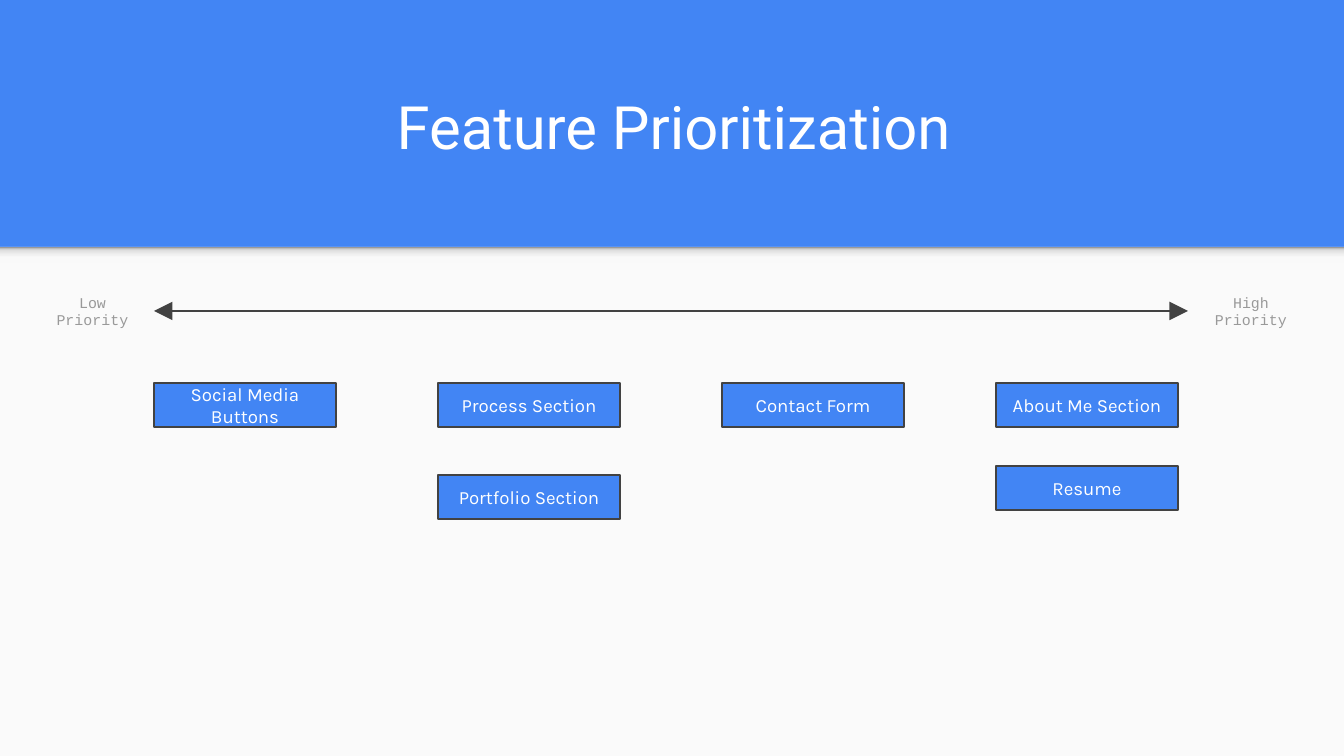
from lxml import etree
from pptx import Presentation
from pptx.dml.color import RGBColor
from pptx.enum.shapes import MSO_CONNECTOR, MSO_SHAPE
from pptx.enum.text import MSO_ANCHOR, PP_ALIGN
from pptx.oxml.ns import qn
from pptx.util import Emu, Pt

SLIDE_WIDTH, SLIDE_HEIGHT = 1344, 756
EMU_PER_PX = 914400 / 134.4
BAND_HEIGHT = 247
BLUE, INK, PAPER, WHITE, GREY = "4285F4", "424242", "FAFAFA", "FFFFFF", "999999"
SHADOW_STOPS = [(0, "F9F9F9"), (36, "F9F9F9"), (80, "DEDEDE"), (100, "999999")]

TITLE = {"size": Pt(32), "name": "Roboto"}
FEATURE = {"size": Pt(10), "name": "Karla"}
PRIORITY = {"size": Pt(8), "name": "Courier New"}

FEATURE_WIDTH, FEATURE_HEIGHT, FIRST_ROW = 182, 44, 383
# Column left edge, then the features in it with their tops, low priority first
FEATURE_COLUMNS = [
    (154, [("Social Media Buttons", FIRST_ROW)]),
    (438, [("Process Section", FIRST_ROW), ("Portfolio Section", 475)]),
    (722, [("Contact Form", FIRST_ROW)]),
    (996, [("About Me Section", FIRST_ROW), ("Resume", 466)]),
]


def px(length):
    return Emu(round(length * EMU_PER_PX))


def color(value):
    return RGBColor.from_string(value)


def write_text(shape, text, font_format, font_color, anchor=MSO_ANCHOR.MIDDLE):
    frame = shape.text_frame
    margins = {f"margin_{side}": Pt(7.2) for side in ("left", "right", "top", "bottom")}
    for name, value in {"word_wrap": True, "vertical_anchor": anchor, **margins}.items():
        setattr(frame, name, value)
    paragraph = frame.paragraphs[0]
    paragraph.alignment = PP_ALIGN.CENTER
    run = paragraph.add_run()
    run.text = text
    for name, value in font_format.items():
        setattr(run.font, name, value)
    run.font.color.rgb = color(font_color)


def add_label(slide, box, text, font_format, font_color, anchor=MSO_ANCHOR.MIDDLE):
    label = slide.shapes.add_textbox(*map(px, box))
    write_text(label, text, font_format, font_color, anchor)
    return label


def add_rectangle(slide, box, fill):
    """Add a flat rectangle without an outline."""
    rectangle = slide.shapes.add_shape(MSO_SHAPE.RECTANGLE, *map(px, box))
    rectangle.shadow.inherit = False
    rectangle.fill.solid()
    rectangle.fill.fore_color.rgb = color(fill)
    rectangle.line.fill.background()
    return rectangle


def add_band_shadow(slide):
    """Add the gradient strip that fades downwards below the title band."""
    strip = add_rectangle(slide, (0, BAND_HEIGHT, SLIDE_WIDTH, 16), PAPER)
    strip.fill.gradient()
    strip.fill.gradient_angle = 90
    stops = strip.element.spPr.find(".//" + qn("a:gsLst"))
    for stop in list(stops):
        stops.remove(stop)
    for percent, value in SHADOW_STOPS:
        stop = etree.SubElement(stops, qn("a:gs"), pos=str(percent * 1000))
        etree.SubElement(stop, qn("a:srgbClr"), val=value)


def add_feature(slide, left, top, text):
    feature = add_rectangle(slide, (left, top, FEATURE_WIDTH, FEATURE_HEIGHT), BLUE)
    feature.line.color.rgb = color(INK)
    feature.line.width = Pt(0.75)
    write_text(feature, text, FEATURE, WHITE)


def add_priority_axis(slide, low, high):
    """Join the two priority labels with a double-headed arrow."""
    axis = slide.shapes.add_connector(MSO_CONNECTOR.STRAIGHT, 0, 0, 0, 0)
    axis.begin_connect(low, 3)
    axis.end_connect(high, 1)
    axis.line.color.rgb = color(INK)
    axis.line.width = Pt(0.75)
    line = axis.line._get_or_add_ln()
    for end in ("a:headEnd", "a:tailEnd"):
        etree.SubElement(line, qn(end), type="triangle", w="lg", len="lg")
    etree.SubElement(axis._element.spPr, qn("a:effectLst"))


def main():
    presentation = Presentation()
    presentation.slide_width = px(SLIDE_WIDTH)
    presentation.slide_height = px(SLIDE_HEIGHT)
    slide = presentation.slides.add_slide(presentation.slide_layouts[6])
    slide.background.fill.solid()
    slide.background.fill.fore_color.rgb = color(BLUE)

    add_rectangle(slide, (0, BAND_HEIGHT, SLIDE_WIDTH, SLIDE_HEIGHT - BAND_HEIGHT), PAPER)
    add_band_shadow(slide)
    add_label(slide, (70, 62, 1208, 113), "Feature Prioritization", TITLE, WHITE,
              MSO_ANCHOR.BOTTOM)

    low = add_label(slide, (31, 287, 123, 48), "Low Priority", PRIORITY, GREY)
    high = add_label(slide, (1188, 287, 126, 48), "High Priority", PRIORITY, GREY)
    add_priority_axis(slide, low, high)

    for left, features in FEATURE_COLUMNS:
        for text, top in features:
            add_feature(slide, left, top, text)

    presentation.save("out.pptx")


if __name__ == "__main__":
    main()
